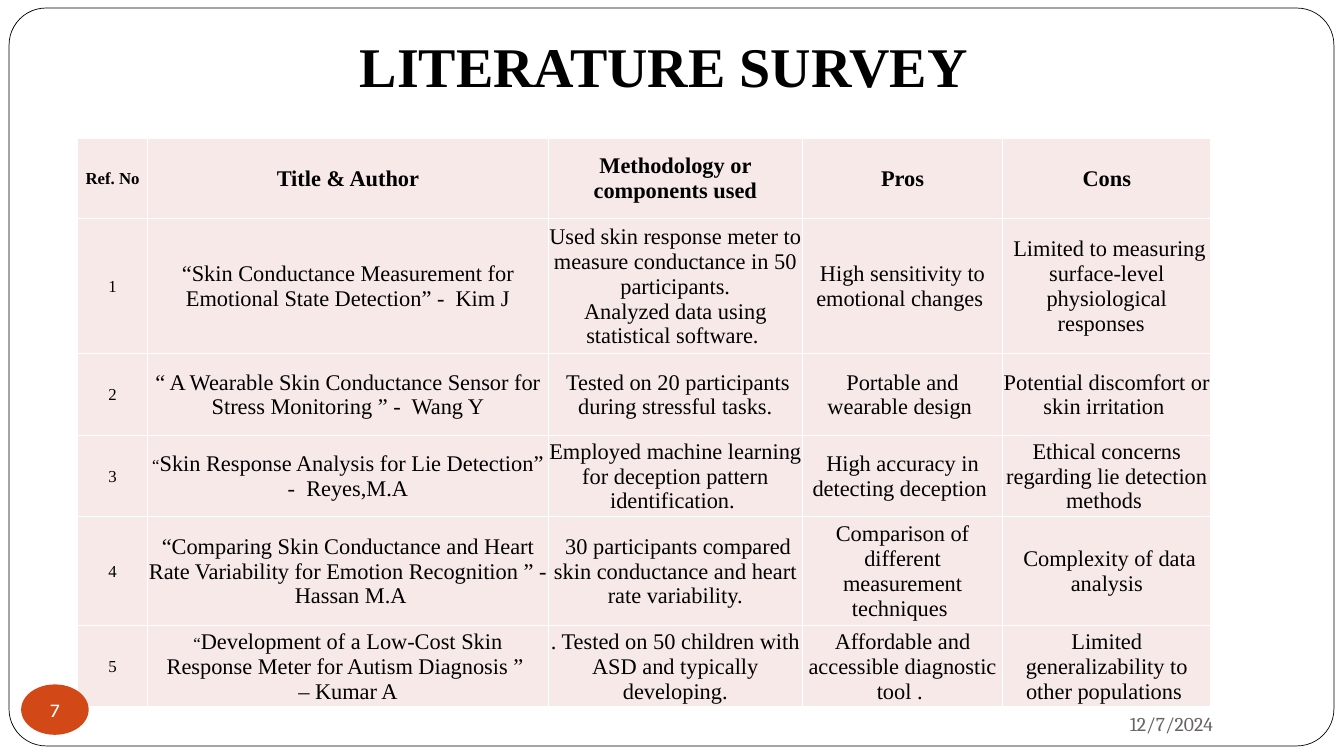
from dataclasses import dataclass

from lxml import etree
from pptx import Presentation
from pptx.dml.color import RGBColor
from pptx.enum.shapes import MSO_SHAPE
from pptx.enum.text import MSO_ANCHOR, PP_ALIGN
from pptx.oxml.ns import qn
from pptx.util import Inches, Pt

ROUNDED, OVAL = MSO_SHAPE.ROUNDED_RECTANGLE, MSO_SHAPE.OVAL
MIDDLE, BOTTOM = MSO_ANCHOR.MIDDLE, MSO_ANCHOR.BOTTOM
CENTER, RIGHT = PP_ALIGN.CENTER, PP_ALIGN.RIGHT


@dataclass(frozen=True)
class Theme:
    black: str = "000000"
    white: str = "FFFFFF"
    cell: str = "F7E9E8"
    badge: str = "D34817"
    muted: str = "696464"
    body_font: str = "Times New Roman"
    date_font: str = "Cambria"
    badge_font: str = "Karla"
    title_size: int = 40
    body_size: int = 16
    footer_size: int = 14
    small_size: int = 12


THEME = Theme()

COLUMN_WIDTHS = [0.7, 4, 2.54, 2, 2.08]
ROW_HEIGHTS = [0.8, 1.33, 0.81, 0.8, 1.07, 0.8]
HEADINGS = ["Ref. No", "Title & Author", "Methodology or components used", "Pros", "Cons"]
# Title, methodology, pros and cons of each paper, numbered from 1.
PAPERS = [
    ["“Skin Conductance Measurement for Emotional State Detection” -  Kim J",
     "Used skin response meter to measure conductance in 50 participants.\n"
     "Analyzed data using statistical software. ",
     "High sensitivity to emotional changes ",
     " Limited to measuring surface-level physiological responses  "],
    ["“ A Wearable Skin Conductance Sensor for Stress Monitoring ” -  Wang Y",
     " Tested on 20 participants during stressful tasks.",
     "Portable and wearable design ",
     "Potential discomfort or skin irritation "],
    ["“Skin Response Analysis for Lie Detection” -  Reyes,M.A",
     "Employed machine learning for deception pattern identification. ",
     "High accuracy in detecting deception ",
     "Ethical concerns regarding lie detection methods "],
    ["“Comparing Skin Conductance and Heart Rate Variability for Emotion Recognition ” -  Hassan M.A",
     " 30 participants compared skin conductance and heart rate variability.",
     "Comparison of different measurement techniques ",
     " Complexity of data analysis"],
    ["“Development of a Low-Cost Skin Response Meter for Autism Diagnosis ” \n– Kumar A",
     ". Tested on 50 children with ASD and typically developing.",
     "Affordable and accessible diagnostic tool . ",
     "Limited generalizability to other populations "],
]
SMALL_QUOTE_PAPERS = {3, 5}


def color(value):
    return RGBColor.from_string(value)


def style_font(font, name, size, ink, bold=False):
    font.name, font.size, font.bold = name, Pt(size), bold
    font.color.rgb = color(ink)


def write_text(frame, text, name, size, ink, bold=False, align=CENTER):
    frame.text = text
    for para in frame.paragraphs:
        para.alignment = align
        for span in para.runs:
            style_font(span.font, name, size, ink, bold)


def add_shape(page, kind, box, fill):
    shape = page.shapes.add_shape(kind, *map(Inches, box))
    shape.shadow.inherit = False
    shape.fill.solid()
    shape.fill.fore_color.rgb = color(fill)
    return shape


def add_frame(page, box):
    frame = add_shape(page, ROUNDED, box, THEME.white)
    frame.adjustments[0] = 0.05
    frame.line.color.rgb = color(THEME.black)
    frame.line.width = Pt(0.5)


def add_title(page, box):
    frame = page.shapes.add_textbox(*map(Inches, box)).text_frame
    frame.word_wrap = True
    frame.vertical_anchor = BOTTOM
    frame.margin_bottom = Inches(0.1)
    write_text(frame, "LITERATURE SURVEY", THEME.body_font, THEME.title_size, THEME.black, True)


def add_cell_borders(cell):
    """Draw white lines on all four sides; call before the cell is filled."""
    properties = cell._tc.get_or_add_tcPr()
    for side in ("a:lnL", "a:lnR", "a:lnT", "a:lnB"):
        line = etree.SubElement(properties, qn(side), w=str(Pt(1)))
        fill = etree.SubElement(line, qn("a:solidFill"))
        etree.SubElement(fill, qn("a:srgbClr"), val=THEME.white)


def shrink_opening_quote(para):
    """Move the first character into a smaller run of its own."""
    quote = para.runs[0]
    rest = para.add_run()
    rest.text, quote.text = quote.text[1:], quote.text[:1]
    style_font(rest.font, THEME.body_font, THEME.body_size, THEME.black)
    quote.font.size = Pt(THEME.small_size)


def fill_cell(cell, text, size, bold):
    add_cell_borders(cell)
    cell.fill.solid()
    cell.fill.fore_color.rgb = color(THEME.cell)
    cell.vertical_anchor = MIDDLE
    cell.margin_left = cell.margin_right = cell.margin_top = Inches(0.01)
    cell.margin_bottom = 0
    write_text(cell.text_frame, text, THEME.body_font, size, THEME.black, bold)


def add_survey_table(page, box):
    """Scale the column and row proportions to the box."""
    left, top, width, height = box
    rows = [HEADINGS] + [[str(number), *paper] for number, paper in enumerate(PAPERS, 1)]
    table = page.shapes.add_table(len(rows), len(HEADINGS), *map(Inches, box)).table
    table.horz_banding = False
    for column, share in zip(table.columns, COLUMN_WIDTHS):
        column.width = Inches(width * share / sum(COLUMN_WIDTHS))
    for row, share in zip(table.rows, ROW_HEIGHTS):
        row.height = Inches(height * share / sum(ROW_HEIGHTS))
    for i, texts in enumerate(rows):
        for j, text in enumerate(texts):
            size = THEME.body_size if j else THEME.small_size
            fill_cell(table.cell(i, j), text, size, bold=i == 0)
    for number in SMALL_QUOTE_PAPERS:
        shrink_opening_quote(table.cell(number, 1).text_frame.paragraphs[0])


def add_date(page, box):
    frame = page.shapes.add_textbox(*map(Inches, box)).text_frame
    frame.word_wrap = True
    frame.vertical_anchor = MIDDLE
    write_text(frame, "12/7/2024", THEME.date_font, THEME.footer_size, THEME.muted, align=RIGHT)


def add_page_badge(page, box):
    badge = add_shape(page, OVAL, box, THEME.badge)
    badge.line.fill.background()
    frame = badge.text_frame
    frame.word_wrap = False
    frame.vertical_anchor = MIDDLE
    frame.margin_left = frame.margin_right = frame.margin_top = frame.margin_bottom = 0
    write_text(frame, "7", THEME.badge_font, THEME.footer_size, THEME.white)


def build_survey_page(deck):
    page = deck.slides.add_slide(deck.slide_layouts[6])
    add_frame(page, (0.09, 0.08, 13.14, 7.32))
    add_title(page, (0.92, 0.16, 11.33, 0.92))
    add_survey_table(page, (0.77, 1.37, 11.24, 5.59))
    add_date(page, (9.62, 6.98, 2.51, 0.4))
    add_page_badge(page, (0.21, 6.79, 0.67, 0.5))


def main():
    deck = Presentation()
    deck.slide_width, deck.slide_height = Inches(13.33), Inches(7.5)
    build_survey_page(deck)
    deck.save("out.pptx")


if __name__ == "__main__":
    main()
